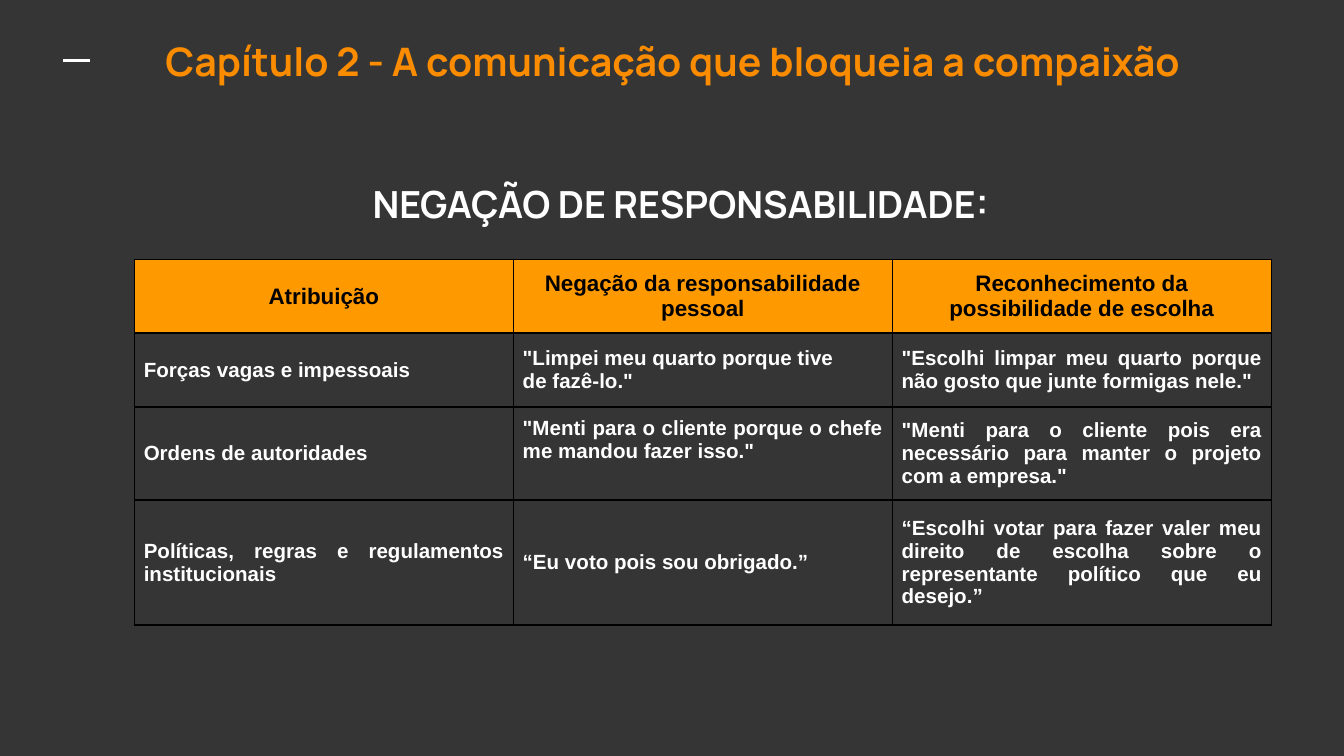
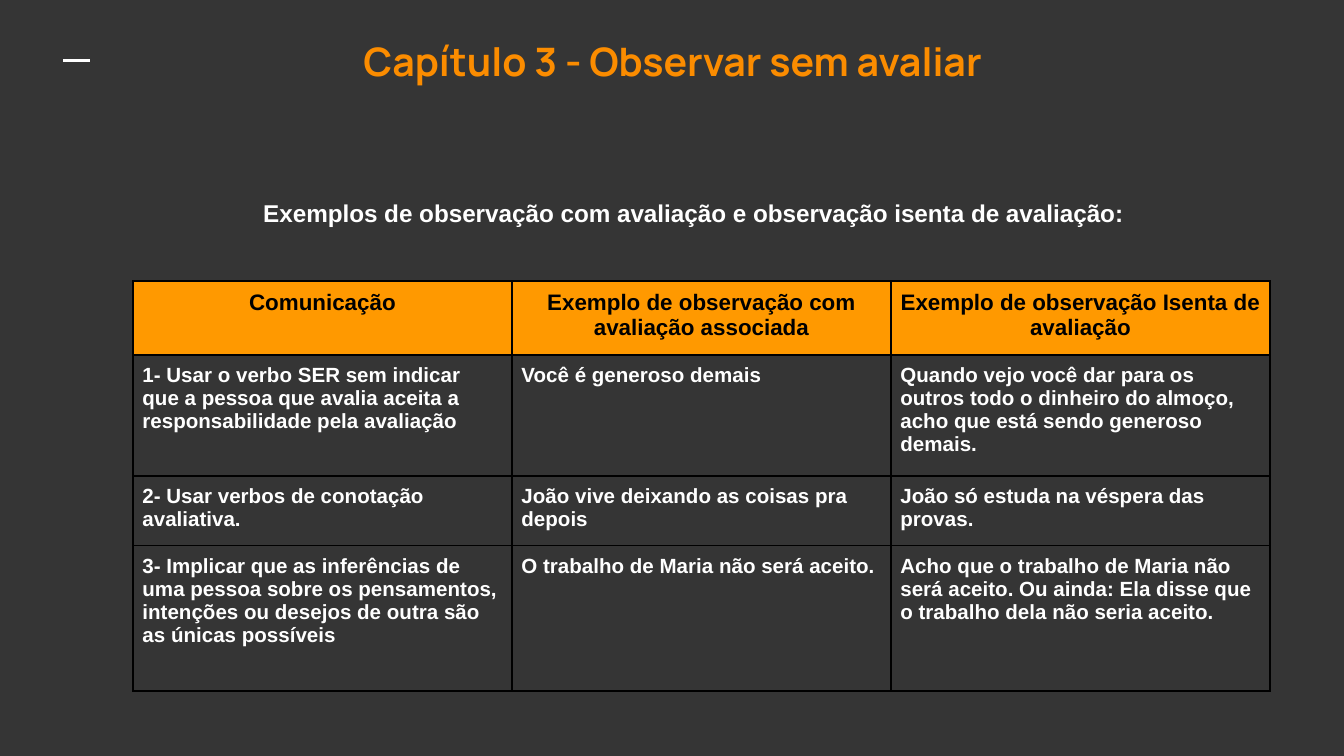
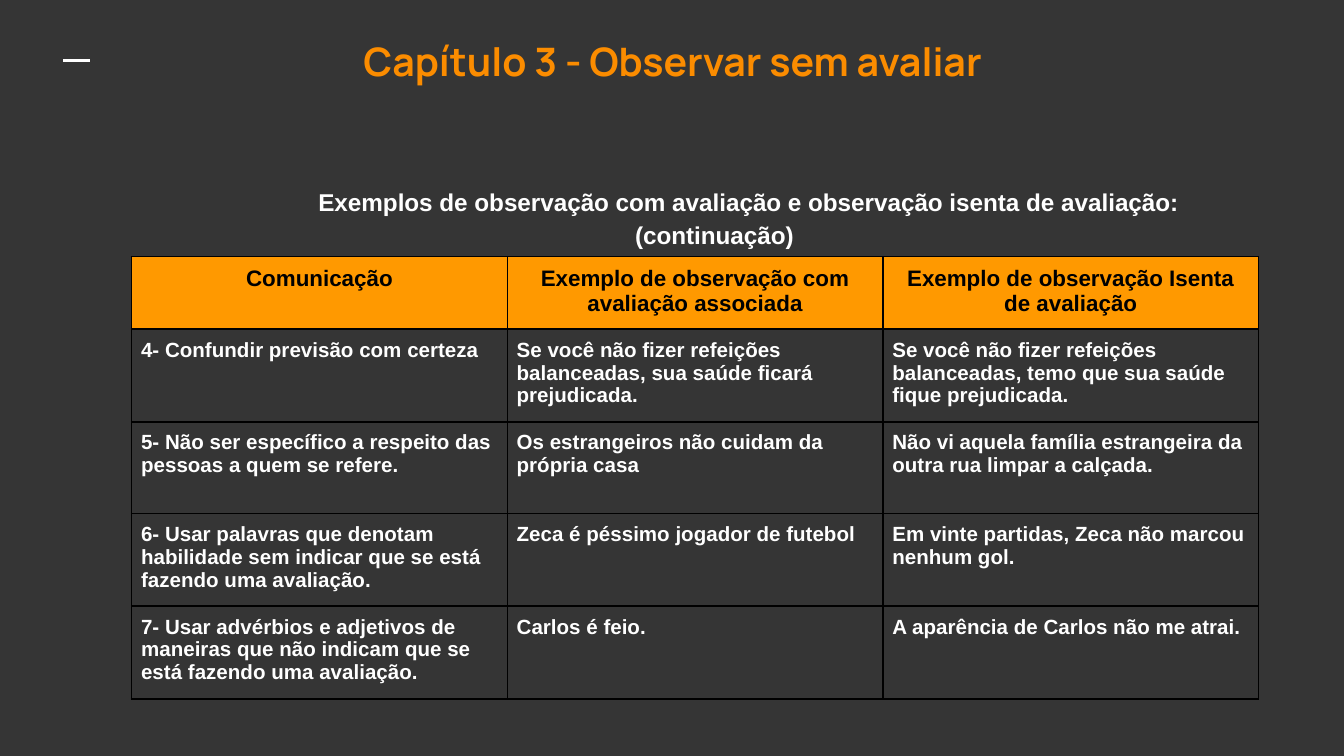
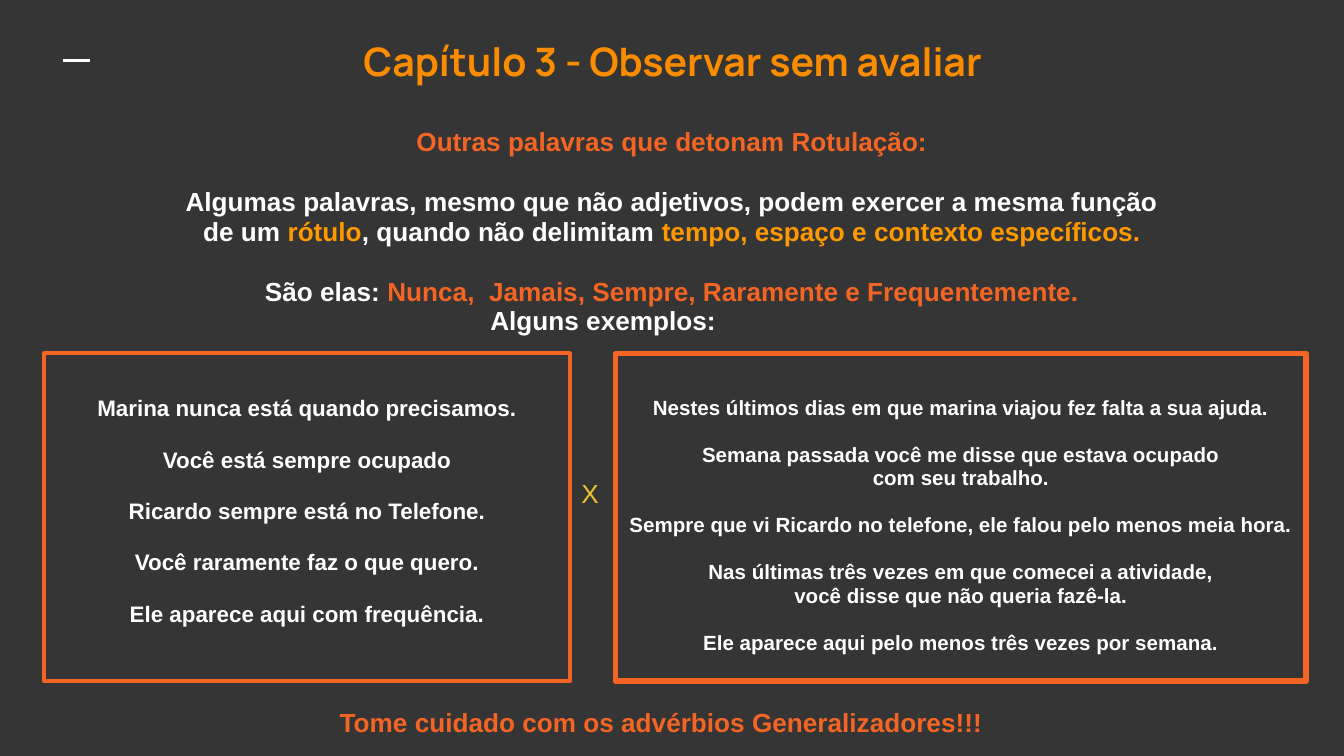
from lxml import etree
from pptx import Presentation
from pptx.dml.color import RGBColor
from pptx.enum.shapes import MSO_CONNECTOR, MSO_SHAPE
from pptx.enum.text import MSO_ANCHOR, MSO_AUTO_SIZE, PP_ALIGN
from pptx.oxml import parse_xml
from pptx.oxml.ns import nsdecls, qn
from pptx.util import Inches, Pt

LEFT, CENTER, JUSTIFY = PP_ALIGN.LEFT, PP_ALIGN.CENTER, PP_ALIGN.JUSTIFY
TOP, MIDDLE = MSO_ANCHOR.TOP, MSO_ANCHOR.MIDDLE
GRAY, WHITE, BLACK = "353535", "FFFFFF", "000000"
TITLE_ORANGE, AMBER, RED_ORANGE, YELLOW = "FB8C00", "FF9900", "F46524", "F1C232"
SANS, DISPLAY = "Arial", "Manrope"
BLANK_LINE = 1.15  # height of an empty line, as a share of the text size


def rgb(value):
    return RGBColor.from_string(value)


def write(tf, text, size=14, color=WHITE, font=SANS, bold=True, align=CENTER,
          spacing=None, before=0, indent=0):
    """Add one paragraph; text is a string or a list of (string, colour) runs."""
    p = tf.add_paragraph() if tf.text else tf.paragraphs[0]
    p.alignment = align
    p.space_before = Pt(before)
    if spacing:
        p.line_spacing = spacing
    if indent:
        p._p.get_or_add_pPr().set("indent", str(indent))
    for part, part_color in [(text, color)] if isinstance(text, str) else text:
        r = p.add_run()
        r.text = part
        r.font.size, r.font.name, r.font.bold = Pt(size), font, bold
        r.font.color.rgb = rgb(part_color)


prs = Presentation()
prs.slide_width, prs.slide_height = Inches(10), Inches(5.625)
U = prs.slide_width // 1000  # grid unit: a thousandth of the slide's width
fill = prs.slide_master.background.fill
fill.solid()
fill.fore_color.rgb = rgb(GRAY)

# Titles and the dash beside them
CHAPTER_3 = "Capítulo 3 - Observar sem avaliar"
for title in ["Capítulo 2 - A comunicação que bloqueia a compaixão"] + [CHAPTER_3] * 3:
    s = prs.slides.add_slide(prs.slide_layouts[5])
    dash = s.shapes.add_connector(MSO_CONNECTOR.STRAIGHT, 47 * U, 45 * U, 67 * U, 45 * U)
    dash.line.color.rgb = rgb(WHITE)
    dash.line.width = Pt(1.5)
    etree.SubElement(dash._element.spPr, qn("a:effectLst"))
    sp = s.shapes.title
    sp.left, sp.top, sp.width, sp.height = 29 * U, 16 * U, 943 * U, 58 * U
    tf = sp.text_frame
    tf.auto_size, tf.vertical_anchor = MSO_AUTO_SIZE.NONE, MIDDLE
    write(tf, title, size=21, color=TITLE_ORANGE, font=DISPLAY)

# Headings above the tables: slide, text, left, top, width, height, format
EXAMPLES = "Exemplos de observação com avaliação e observação isenta de avaliação:"
headings = [
    (0, "NEGAÇÃO DE RESPONSABILIDADE:", 83, 120, 847, 60, dict(size=20, font=DISPLAY)),
    (1, EXAMPLES, 136, 134, 752, 45, dict(size=13, align=LEFT, indent=50 * U)),
    (2, EXAMPLES + " (continuação)", 127, 126, 809, 65, dict(size=13, indent=50 * U)),
]
for index, text, left, top, width, height, style in headings:
    sp = prs.slides[index].shapes.add_textbox(left * U, top * U, width * U, height * U)
    tf = sp.text_frame
    tf.word_wrap = True
    tf.margin_top = tf.margin_bottom = 10 * U
    write(tf, text, spacing=1.15, **style)

# Tables: slide, left, top, column width, row heights, body alignment, anchor, rows
OBSERVATION_HEADER = ["Comunicação", "Exemplo de observação com avaliação associada",
                      "Exemplo de observação Isenta de avaliação"]
tables = [
    (0, 100, 193, 282, [55, 55, 65, 93], JUSTIFY, MIDDLE, [
        ["Atribuição", "Negação da responsabilidade pessoal",
         "Reconhecimento da possibilidade de escolha"],
        ["Forças vagas e impessoais",
         "\"Limpei meu quarto porque tive\nde fazê-lo.\"",
         "\"Escolhi limpar meu quarto porque não gosto que junte formigas nele.\""],
        ["Ordens de autoridades",
         "\"Menti para o cliente porque o chefe me mandou fazer isso.\"",
         "\"Menti para o cliente pois era necessário para manter o projeto com a empresa.\""],
        ["Políticas, regras e regulamentos institucionais",
         "“Eu voto pois sou obrigado.”",
         "“Escolhi votar para fazer valer meu direito de escolha sobre o representante "
         "político que eu desejo.”"],
    ]),
    (1, 99, 209, 282, [55, 90, 52, 108], LEFT, TOP, [
        OBSERVATION_HEADER,
        ["1- Usar o verbo SER sem indicar que a pessoa que avalia aceita a "
         "responsabilidade pela avaliação",
         "Você é generoso demais",
         "Quando vejo você dar para os outros todo o dinheiro do almoço, acho que está "
         "sendo generoso demais."],
        ["2- Usar verbos de conotação avaliativa.",
         "João vive deixando as coisas pra depois",
         "João só estuda na véspera das provas."],
        ["3- Implicar que as inferências de uma pessoa sobre os pensamentos, intenções "
         "ou desejos de outra são as únicas possíveis",
         "O trabalho de Maria não será aceito.",
         "Acho que o trabalho de Maria não será aceito. Ou ainda: Ela disse que o "
         "trabalho dela não seria aceito."],
    ]),
    (2, 98, 191, 279.5, [51, 68, 68, 68, 68], LEFT, TOP, [
        OBSERVATION_HEADER,
        ["4- Confundir previsão com certeza",
         "Se você não fizer refeições balanceadas, sua saúde ficará prejudicada.",
         "Se você não fizer refeições balanceadas, temo que sua saúde fique prejudicada."],
        ["5- Não ser específico a respeito das pessoas a quem se refere.",
         "Os estrangeiros não cuidam da própria casa",
         "Não vi aquela família estrangeira da outra rua limpar a calçada."],
        ["6- Usar palavras que denotam habilidade sem indicar que se está fazendo uma "
         "avaliação.",
         "Zeca é péssimo jogador de futebol",
         "Em vinte partidas, Zeca não marcou nenhum gol."],
        ["7- Usar advérbios e adjetivos de maneiras que não indicam que se está fazendo "
         "uma avaliação.",
         "Carlos é feio.",
         "A aparência de Carlos não me atrai."],
    ]),
]
for index, left, top, col_width, heights, align, anchor, rows in tables:
    col_width = int(col_width * U)
    table = prs.slides[index].shapes.add_table(
        len(rows), 3, left * U, top * U, 3 * col_width, sum(heights) * U).table
    table.horz_banding = False
    for column in table.columns:
        column.width = col_width
    for i, (height, row) in enumerate(zip(heights, rows)):
        table.rows[i].height = height * U
        for j, text in enumerate(row):
            cell = table.cell(i, j)
            cell.vertical_anchor = anchor
            cell.margin_left = cell.margin_right = 7 * U
            cell.margin_top = cell.margin_bottom = 7 * U
            if i == 0:
                cell.fill.solid()
                cell.fill.fore_color.rgb = rgb(AMBER)
                style = dict(size=12, color=BLACK)
            else:
                cell.fill.background()
                style = dict(size=11, align=align)
            for line in text.split("\n"):
                write(cell.text_frame, line, **style)
            for k, side in enumerate("LRTB"):
                cell._tc.get_or_add_tcPr().insert(k, parse_xml(
                    f'<a:ln{side} {nsdecls("a")} w="12700"><a:solidFill>'
                    f'<a:srgbClr val="{BLACK}"/></a:solidFill></a:ln{side}>'))
    if index == 0:
        table.cell(2, 1).vertical_anchor = TOP

# Words that label
s = prs.slides[3]
tf = s.shapes.add_textbox(124 * U, 85 * U, 752 * U, 172 * U).text_frame
tf.word_wrap = True
tf.margin_top = tf.margin_bottom = 10 * U
gap = 14 * BLANK_LINE
write(tf, "Outras palavras que detonam Rotulação:", color=RED_ORANGE, spacing=0.95)
write(tf, [("Algumas palavras, mesmo que não adjetivos, podem exercer a mesma função de um ", WHITE),
           ("rótulo", AMBER), (", quando não delimitam ", WHITE),
           ("tempo, espaço e contexto específicos.", AMBER)], spacing=0.95, before=gap)
write(tf, [("São elas: ", WHITE),
           ("Nunca,  Jamais, Sempre, Raramente e Frequentemente.", RED_ORANGE)],
      spacing=0.95, before=gap)
write(tf, "Alguns exemplos:", align=LEFT, spacing=0.95, indent=231 * U)

# Panels: left, width, line width, text size, sentences
panels = [
    (33, 391, 2.25, 12, [
        "Marina nunca está quando precisamos.", "Você está sempre ocupado",
        "Ricardo sempre está no Telefone.", "Você raramente faz o que quero.",
        "Ele aparece aqui com frequência."]),
    (458, 514, 3, 11, [
        "Nestes últimos dias em que marina viajou fez falta a sua ajuda.",
        "Semana passada você me disse que estava ocupado\ncom seu trabalho.",
        "Sempre que vi Ricardo no telefone, ele falou pelo menos meia hora.",
        "Nas últimas três vezes em que comecei a atividade,\nvocê disse que não queria fazê-la.",
        "Ele aparece aqui pelo menos três vezes por semana."]),
]
for left, width, line_width, size, sentences in panels:
    sp = s.shapes.add_shape(MSO_SHAPE.RECTANGLE, left * U, 263 * U, width * U, 244 * U)
    sp.shadow.inherit = False
    sp.fill.background()
    sp.line.color.rgb = rgb(RED_ORANGE)
    sp.line.width = Pt(line_width)
    tf = sp.text_frame
    tf.word_wrap, tf.vertical_anchor = True, TOP
    tf.margin_left = tf.margin_right = 5 * U
    tf.margin_top = 32 * U
    for i, sentence in enumerate(sentences):
        for j, line in enumerate(sentence.split("\n")):
            write(tf, line, size=size, spacing=0.95,
                  before=size * BLANK_LINE if i and j == 0 else 0)

tf = s.shapes.add_textbox(412 * U, 350 * U, 54 * U, 58 * U).text_frame
tf.word_wrap = True
write(tf, "X", color=YELLOW, bold=False)

tf = s.shapes.add_textbox(116 * U, 517 * U, 752 * U, 42 * U).text_frame
tf.word_wrap = True
tf.margin_top = tf.margin_bottom = 10 * U
write(tf, "Tome cuidado com os advérbios Generalizadores!!!", color=RED_ORANGE, spacing=0.95)

prs.save("out.pptx")
